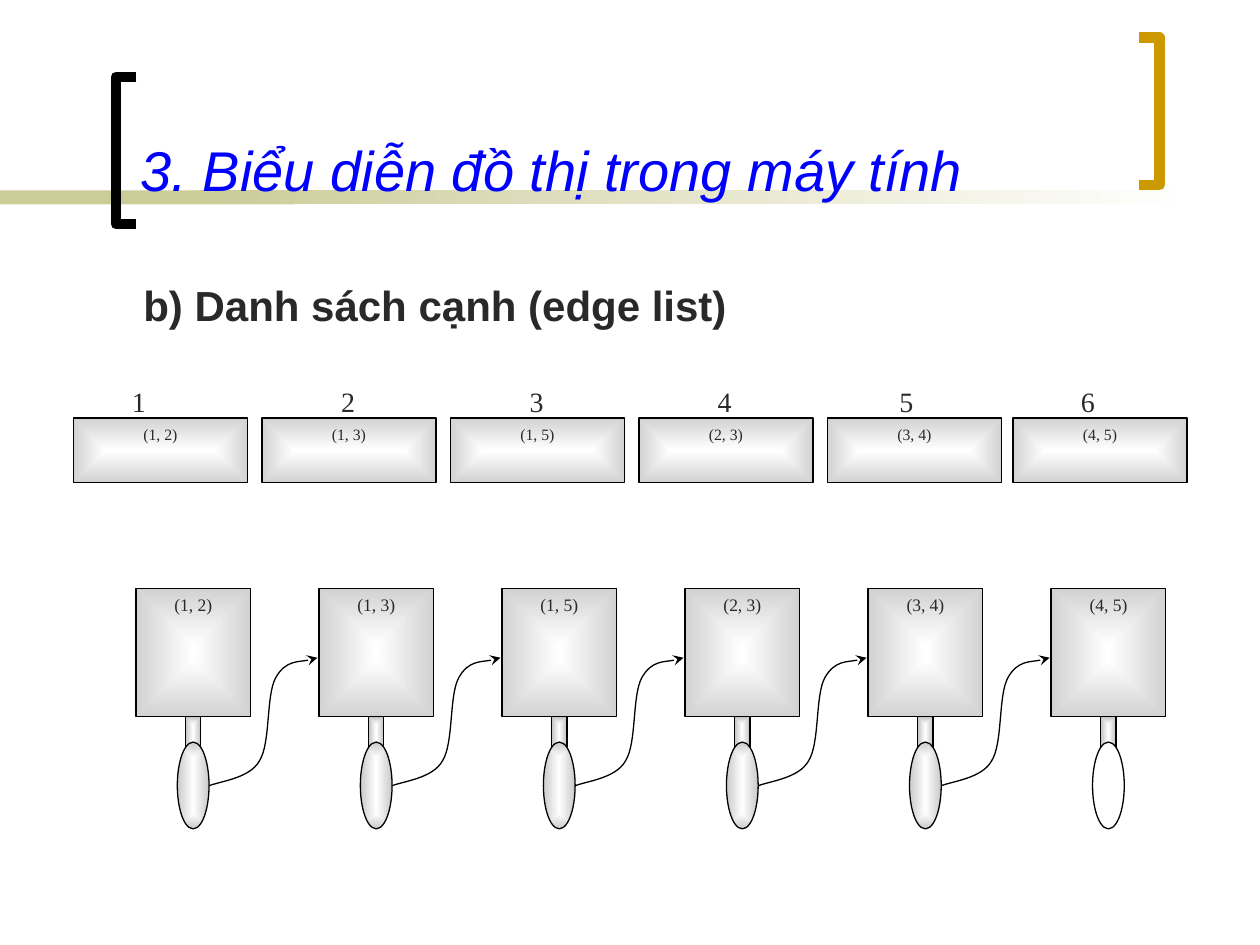
from lxml.etree import SubElement
from pptx import Presentation
from pptx.dml.color import RGBColor
from pptx.enum.shapes import MSO_SHAPE
from pptx.enum.text import MSO_ANCHOR, PP_ALIGN
from pptx.oxml.ns import qn
from pptx.util import Cm, Pt

TITLE = "3. Biểu diễn đồ thị trong máy tính"
HEADING = "b) Danh sách cạnh (edge list)"
EDGES = ["(1, 2)", "(1, 3)", "(1, 5)", "(2, 3)", "(3, 4)", "(4, 5)"]

THEME = {
    "sans": "Arial", "serif": "Times New Roman",
    "title": "0000FF", "text": "292929", "line": "000000", "white": "FFFFFF",
    "bar": "CCCC99", "accent": "CC9900",
    "box": "D2D2D2", "stub": "C2C2C2", "pointer": "CACACA",
    "title_size": 32, "heading_size": 24, "index_size": 16,
    "cell_size": 9, "node_size": 10, "thin": 0.75, "thick": 6,
}

# All lengths in centimetres
BAR_TOP, BAR_HEIGHT = 3.84, 0.28
BRACKETS = [  # outer x, tip x, top, colour
    (2.34, 2.75, 1.55, "line"),
    (23.37, 22.96, 0.76, "accent"),
]
BRACKET_HEIGHT = 2.97
CELL_LEFTS = [1.48, 5.28, 9.08, 12.88, 16.68, 20.42]
CELL_TOP, CELL_WIDTH, CELL_HEIGHT = 8.43, 3.51, 1.3
INDEX_LEFT, INDEX_INSET = 1.78, 0.25
INDEX_CENTRES = [2.8, 7.02, 10.82, 14.61, 18.27, 21.93]
NODE_LEFT, NODE_TOP, NODE_PITCH = 2.74, 11.86, 3.69
NODE_WIDTH, NODE_HEIGHT = 2.31, 2.59
STUB_WIDTH, STUB_HEIGHT = 0.31, 0.86
POINTER_TOP, POINTER_WIDTH, POINTER_HEIGHT = 14.96, 0.64, 1.75
LINK_CURVE = [  # relative to the node's corner, from arrowhead to pointer
    (3.66, 1.4), (3.53, 1.47), (3.02, 1.45), (2.82, 1.8), (2.62, 2.16),
    (2.72, 3.12), (2.49, 3.48), (2.29, 3.84), (1.68, 3.89), (1.45, 3.99),
]


def color(key):
    return RGBColor.from_string(THEME[key])


def write(shape, text, *, size, ink="text", font="serif", bold=False, italic=False,
          align=PP_ALIGN.LEFT, anchor=MSO_ANCHOR.TOP):
    frame = shape.text_frame
    frame.word_wrap = True
    frame.vertical_anchor = anchor
    paragraph = frame.paragraphs[0]
    paragraph.alignment = align
    run = paragraph.add_run()
    run.text = text
    run.font.size, run.font.name = Pt(THEME[size]), THEME[font]
    run.font.bold, run.font.italic = bold, italic
    run.font.color.rgb = color(ink)
    return paragraph


def fill_gradient(shape, start, end, from_centre):
    shape.fill.gradient()
    for stop, key, position in zip(shape.fill.gradient_stops, (start, end), (0, 1)):
        stop.color.rgb, stop.position = color(key), position
    if not from_centre:
        shape.fill.gradient_angle = 0
        return
    gradient = shape._element.spPr.find(qn("a:gradFill"))
    gradient.remove(gradient.find(qn("a:lin")))
    centre = SubElement(gradient, qn("a:path"), {"path": "rect"})
    SubElement(centre, qn("a:fillToRect"), {side: "50000" for side in "ltrb"})


def set_line(shape, key="line", width="thin"):
    shape.shadow.inherit = False
    shape.line.color.rgb = color(key)
    shape.line.width = Pt(THEME[width])


def add_block(shapes, left, top, width, height, shade, kind=MSO_SHAPE.RECTANGLE):
    """Outlined shape that shades from white in the middle to the given edge colour."""
    block = shapes.add_shape(kind, Cm(left), Cm(top), Cm(width), Cm(height))
    set_line(block)
    if shade == "white":
        block.fill.solid()
        block.fill.fore_color.rgb = color(shade)
    else:
        fill_gradient(block, "white", shade, from_centre=True)
    return block


def add_open_outline(shapes, points, **line):
    start, *rest = [(Cm(x), Cm(y)) for x, y in points]
    builder = shapes.build_freeform(*start)
    builder.add_line_segments(rest, close=False)
    outline = builder.convert_to_shape()
    outline.fill.background()
    set_line(outline, **line)
    return outline


def add_link(shapes, left, top):
    """Curved arrow; each three points after the first make one Bézier segment."""
    link = add_open_outline(shapes, [(left + x, top + y) for x, y in LINK_CURVE])
    outline = next(link._element.iter(qn("a:path")))
    steps = outline.findall(qn("a:lnTo"))
    for first in range(0, len(steps), 3):
        curve = SubElement(outline, qn("a:cubicBezTo"))
        for step in steps[first:first + 3]:
            curve.append(step[0])
            outline.remove(step)
    SubElement(link.line._get_or_add_ln(), qn("a:headEnd"), {"type": "stealth"})


def add_backdrop(shapes):
    for left, width in ((0, 5.92), (4.01, 20.12)):
        bar = shapes.add_shape(MSO_SHAPE.RECTANGLE, Cm(left), Cm(BAR_TOP),
                               Cm(width), Cm(BAR_HEIGHT))
        bar.shadow.inherit = False
        bar.line.fill.background()
        if left:
            fill_gradient(bar, "bar", "white", from_centre=False)
        else:
            bar.fill.solid()
            bar.fill.fore_color.rgb = color("bar")
    for outer, tip, top, key in BRACKETS:
        bottom = top + BRACKET_HEIGHT
        add_open_outline(shapes, [(tip, top), (outer, top), (outer, bottom), (tip, bottom)],
                         key=key, width="thick")


def add_array(shapes):
    for edge, left in zip(EDGES, CELL_LEFTS):
        cell = add_block(shapes, left, CELL_TOP, CELL_WIDTH, CELL_HEIGHT, "box")
        write(cell, edge, size="cell_size", align=PP_ALIGN.CENTER)
    indexes = shapes.add_textbox(Cm(INDEX_LEFT), Cm(7.62), Cm(21.92), Cm(1.47))
    numbers = "".join(f"\t{n}" for n in range(1, len(EDGES) + 1))
    paragraph = write(indexes, numbers, size="index_size")
    tabs = SubElement(paragraph._p.get_or_add_pPr(), qn("a:tabLst"))
    for centre in INDEX_CENTRES:
        position = Cm(centre - INDEX_LEFT - INDEX_INSET)
        SubElement(tabs, qn("a:tab"), {"pos": str(int(position)), "algn": "ctr"})


def add_linked_list(shapes):
    for i, edge in enumerate(EDGES):
        last = i == len(EDGES) - 1
        left = NODE_LEFT + i * NODE_PITCH
        middle = left + NODE_WIDTH / 2
        if not last:
            add_link(shapes, left, NODE_TOP)
        add_block(shapes, middle - STUB_WIDTH / 2, NODE_TOP + NODE_HEIGHT,
                  STUB_WIDTH, STUB_HEIGHT, "stub")
        node = add_block(shapes, left, NODE_TOP, NODE_WIDTH, NODE_HEIGHT, "box")
        write(node, edge, size="node_size", align=PP_ALIGN.CENTER)
        add_block(shapes, middle - POINTER_WIDTH / 2, POINTER_TOP, POINTER_WIDTH,
                  POINTER_HEIGHT, "white" if last else "pointer", MSO_SHAPE.OVAL)


def main():
    deck = Presentation()
    deck.slide_width, deck.slide_height = Cm(25.4), Cm(19.05)
    shapes = deck.slides.add_slide(deck.slide_layouts[6]).shapes
    add_backdrop(shapes)
    title = shapes.add_textbox(Cm(2.59), Cm(0.28), Cm(19.89), Cm(3.94))
    write(title, TITLE, size="title_size", ink="title", font="sans", italic=True,
          anchor=MSO_ANCHOR.BOTTOM)
    heading = shapes.add_textbox(Cm(2.64), Cm(5.51), Cm(21.29), Cm(1.7))
    write(heading, HEADING, size="heading_size", font="sans",
          bold=True).space_before = Pt(6)
    add_array(shapes.add_group_shape().shapes)
    add_linked_list(shapes.add_group_shape().shapes)
    deck.save("out.pptx")


if __name__ == "__main__":
    main()
